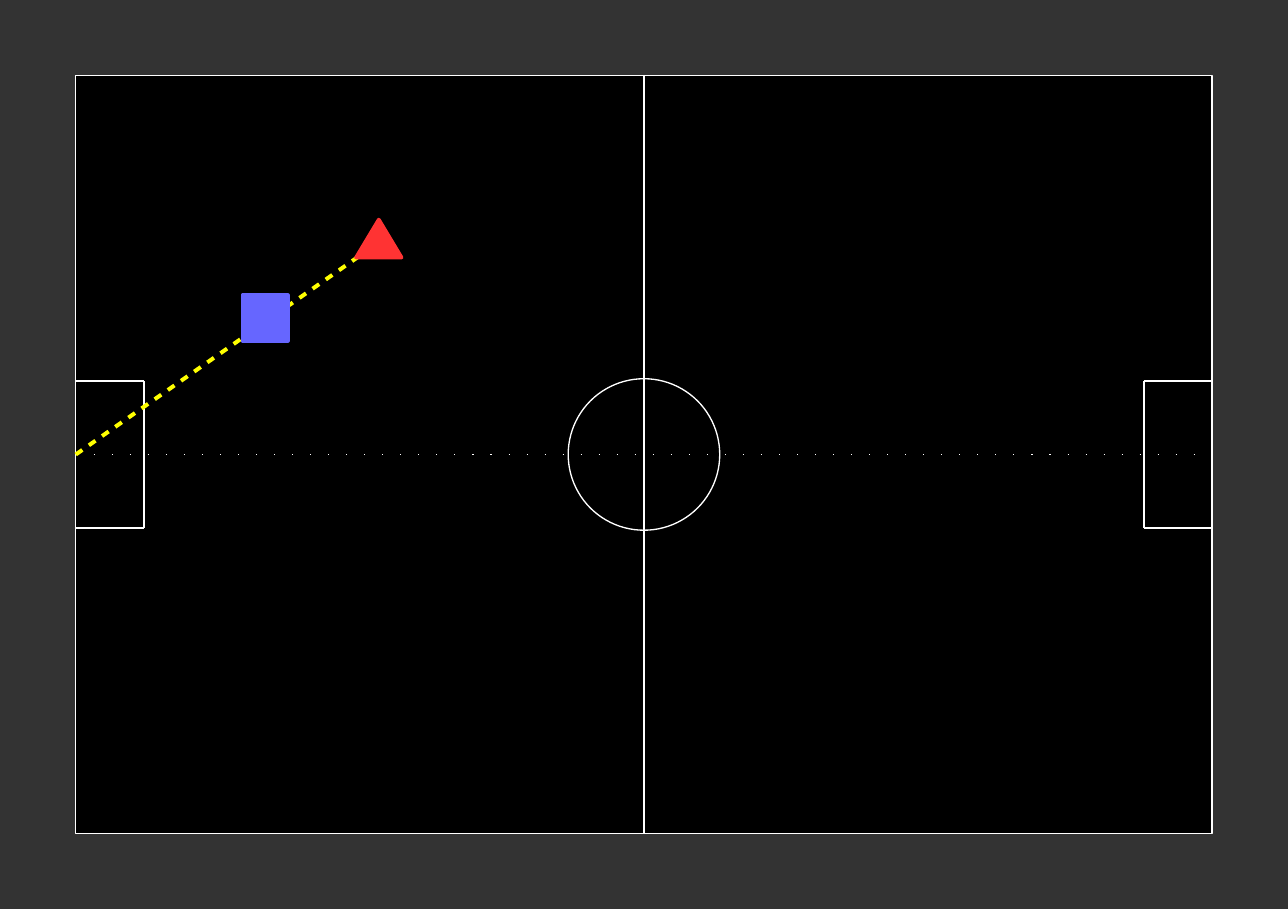
from lxml.etree import SubElement
from pptx import Presentation
from pptx.dml.color import RGBColor
from pptx.enum.shapes import MSO_CONNECTOR as Connector, MSO_SHAPE as Shape
from pptx.oxml.ns import qn
from pptx.util import Cm, Pt

COLORS = {
    "surround": "333333",
    "pitch": "000000",
    "marking": "FFFFFF",
    "path": "FFFF00",
    "attacker": "FF3333",
    "defender": "6666FF",
}
COLUMNS, ROWS = 17, 12
CELL = Cm(2)


class PitchSlide:
    """Draws on a slide in grid units of columns and rows."""

    def __init__(self, presentation):
        self.slide = presentation.slides.add_slide(presentation.slide_layouts[6])
        self.shapes = self.slide.shapes
        fill = self.slide.background.fill
        fill.solid()
        fill.fore_color.rgb = self.color("surround")

    def color(self, name):
        return RGBColor.from_string(COLORS[name])

    def grid(self, *units):
        return [round(unit * CELL) for unit in units]

    def stroke(self, line, color, width):
        line.color.rgb = self.color(color)
        line.width = Pt(width)

    def add_shape(self, kind, left, top, width, height, fill=None, line="marking", weight=1):
        shape = self.shapes.add_shape(kind, *self.grid(left, top, width, height))
        shape.shadow.inherit = False
        if fill:
            shape.fill.solid()
            shape.fill.fore_color.rgb = self.color(fill)
        else:
            shape.fill.background()
        self.stroke(shape.line, line, weight)

    def add_line(self, x1, y1, x2, y2, color="marking", weight=1, dash=None):
        connector = self.shapes.add_connector(Connector.STRAIGHT, *self.grid(x1, y1, x2, y2))
        self.stroke(connector.line, color, weight)
        properties = connector._element.spPr
        SubElement(properties, qn("a:effectLst"))
        if dash:
            length, gap = dash
            pattern = SubElement(properties.find(qn("a:ln")), qn("a:custDash"))
            SubElement(pattern, qn("a:ds"), d=str(length * 100000), sp=str(gap * 100000))

    def add_goal_area(self, left, right, front):
        top, bottom = 5.03, 6.97
        for y in (top, bottom):
            self.add_line(left, y, right, y)
        self.add_line(front, bottom, front, top)

    def add_pitch(self):
        self.shapes = self.slide.shapes.add_group_shape().shapes
        left, right, top, bottom = 1, COLUMNS - 1, 1, ROWS - 1
        center_x, center_y, radius, depth = COLUMNS / 2, ROWS / 2, 1, 0.9
        self.add_shape(Shape.RECTANGLE, left, top, right - left, bottom - top, fill="pitch")
        self.add_line(center_x, bottom, center_x, top)
        self.add_shape(Shape.OVAL, center_x - radius, center_y - radius, 2 * radius, 2 * radius)
        self.add_goal_area(left, left + depth, left + depth)
        self.add_goal_area(right - depth, right, right - depth)
        self.add_line(left, center_y, right, center_y, weight=0.79, dash=(1, 16))
        self.shapes = self.slide.shapes

    def add_player(self, kind, left, top, width, height, color):
        self.add_shape(kind, left, top, width, height, fill=color, line=color, weight=2.83)


def main():
    presentation = Presentation()
    presentation.slide_width = COLUMNS * CELL
    presentation.slide_height = ROWS * CELL
    slide = PitchSlide(presentation)
    slide.add_pitch()
    slide.add_line(1, 6, 5, 3.2, color="path", weight=3, dash=(2, 2))
    slide.add_player(Shape.ISOSCELES_TRIANGLE, 4.7, 2.9, 0.6, 0.5, "attacker")
    slide.add_player(Shape.RECTANGLE, 3.2, 3.9, 0.6, 0.6, "defender")
    presentation.save("out.pptx")


if __name__ == "__main__":
    main()
